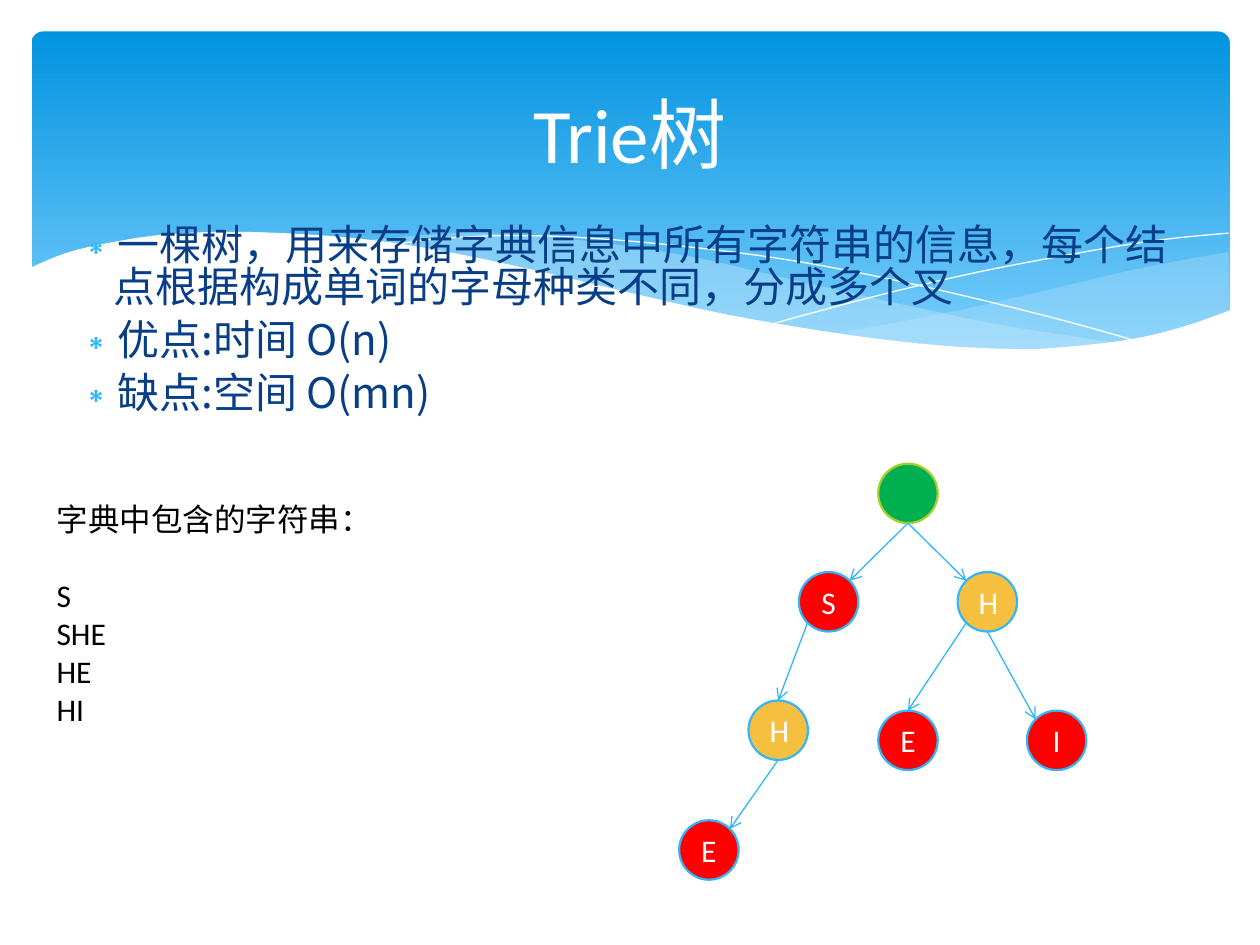
from math import cos, radians, sin

from lxml import etree
from pptx import Presentation
from pptx import util as u
from pptx.dml import color
from pptx.enum import shapes, text
from pptx.oxml import ns

HUES = {
    "white": "FFFFFF", "black": "000000", "navy": "073E87", "sky": "31B6FD",
    "top": "0293E0", "low": "83D3FE", "veil": "C6E7FC", "root": "00B050",
    "lime": "A5D028", "end": "FF0000", "mid": "F5C040",
}
COLS, ROWS = 100, 75
CJK = "Noto Sans CJK SC"

deck = Presentation()
deck.slide_width, deck.slide_height = u.Inches(10), u.Inches(7.5)
CELL_W, CELL_H = deck.slide_width / COLS, deck.slide_height / ROWS


def hue(name):
    return color.RGBColor.from_string(HUES[name])


def grid(x, y, wide, high):
    return [round(v) for v in (x * CELL_W, y * CELL_H, wide * CELL_W, high * CELL_H)]


def place(shape, box):
    shape.left, shape.top, shape.width, shape.height = grid(*box)


def node(parent, tag, **attrs):
    return etree.SubElement(parent, ns.qn(tag), attrs)


def write(frame, lines, size=18, ink="white", font="Calibri", align=None,
          anchor=text.MSO_ANCHOR.TOP, bullet=None, gaps=None, lead=None):
    frame.word_wrap = True
    frame.auto_size = text.MSO_AUTO_SIZE.NONE
    frame.vertical_anchor = anchor
    for i, line in enumerate(lines):
        para = frame.paragraphs[0] if i == 0 else frame.add_paragraph()
        para.alignment = align
        para.space_before = u.Pt((gaps or {}).get(i, 0))
        if lead:
            para.line_spacing = lead
        if bullet:
            props = para._p.get_or_add_pPr()
            props.set("marL", str(u.Inches(0.3)))
            props.set("indent", str(-u.Inches(0.3)))
            node(node(props, "a:buClr"), "a:srgbClr", val=HUES["sky"])
            node(props, "a:buChar", char=bullet)
        run = para.add_run()
        run.text = line
        run.font.size, run.font.name = u.Pt(size), font
        run.font.color.rgb = hue(ink)
        node(run.font._element, "a:ea", typeface=font)


def smooth(pts, steps=5):
    ends = [pts[0], *pts, pts[-1]]
    curve = []
    for a, b, c, d in zip(ends, ends[1:], ends[2:], ends[3:]):
        for t in (k / steps for k in range(steps)):
            curve.append(tuple(
                (2 * q + (r - p) * t + (2 * p - 5 * q + 4 * r - s) * t ** 2
                 + (3 * q - p - 3 * r + s) * t ** 3) / 2
                for p, q, r, s in zip(a, b, c, d)))
    return curve + [pts[-1]]


def wave(slide, box, pts, fill=None, alpha=None):
    spots = [((box[0] + x) * CELL_W, (box[1] + y) * CELL_H) for x, y in pts]
    pen = slide.shapes.build_freeform(*map(round, spots[0]))
    pen.add_line_segments([tuple(map(round, s)) for s in spots[1:]], close=bool(fill))
    shape = pen.convert_to_shape()
    shape.shadow.inherit = False
    if fill:
        shape.fill.solid()
        shape.fill.fore_color.rgb = hue(fill)
        shape.line.fill.background()
    else:
        shape.fill.background()
        shape.line.color.rgb = hue("white")
        shape.line.width = u.Pt(0)
    if alpha:
        tint = shape._element.spPr.find(".//" + ns.qn("a:srgbClr"))
        node(tint, "a:alpha", val=str(alpha * 1000))


def banner(slide, box):
    band = slide.shapes.add_shape(shapes.MSO_SHAPE.ROUNDED_RECTANGLE, *grid(*box))
    band.adjustments[0] = 0.034
    band.shadow.inherit = False
    band.line.fill.background()
    band.fill.gradient()
    band.fill.gradient_angle = 270
    for stop, name, pos in zip(band.fill.gradient_stops, ("top", "low"), (0, 1)):
        stop.color.rgb, stop.position = hue(name), pos

    right = smooth([(95, 17.5), (91, 18.2), (86.6, 19.1), (80.7, 20.5), (72.8, 22.3), (63.6, 24)])
    right += smooth([(63.6, 24), (68, 24.6), (73.2, 25.1), (77.8, 25.3), (82.9, 25.1),
                     (88, 24.4), (91.7, 23.4), (95.1, 22.2)])
    mid = smooth([(86.8, 24.8), (78.2, 23.5), (71.6, 22.2), (60.4, 19.7), (53, 18),
                  (46.4, 16.9), (39.5, 16.2), (33.6, 16), (26.1, 16.6)])
    mid += smooth([(26.1, 16.6), (31.7, 17.4), (37.9, 18.6), (42.4, 19.7), (50.5, 21.5),
                   (57.6, 23), (64, 24.1), (71.1, 25), (78.2, 25.4), (83.2, 25.2), (86.8, 24.8)])
    fall = smooth([(28.4, 17), (31.8, 16.5), (37.6, 16.2), (44.4, 16.4), (53.1, 17.2),
                   (61.1, 18.3), (70.2, 20.1), (80.6, 22.6), (88.2, 24.7)])
    rise = smooth([(58.8, 23.2), (67, 21), (75.1, 19.1), (84.1, 17.4), (89.9, 16.5), (95, 16)])
    base = smooth([(95.2, 22.1), (91.5, 23.4), (87.4, 24.4), (82.5, 25), (78.4, 25.2),
                   (71.9, 24.9), (64.3, 24), (55.4, 22.5), (47.8, 20.8), (39.3, 18.8),
                   (31.4, 17.2), (24.6, 16.3), (16.8, 15.9), (10.7, 16.1), (6, 16.8),
                   (2.7, 17.6), (-0.2, 18.8)])
    wave(slide, box, right, "veil", 29)
    wave(slide, box, mid, "veil", 40)
    wave(slide, box, fall)
    wave(slide, box, rise)
    wave(slide, box, base + [(-0.2, 30.4), (95.2, 30.4)], "white")


def title(slide, box):
    head = slide.shapes.title
    place(head, box)
    head.element.getparent().append(head.element)
    write(head.text_frame, ["Trie树"], size=44, align=text.PP_ALIGN.CENTER,
          anchor=text.MSO_ANCHOR.MIDDLE)


def points(slide, box):
    body = slide.placeholders[1]
    place(body, box)
    body.element.getparent().append(body.element)
    write(body.text_frame,
          ["一棵树，用来存储字典信息中所有字符串的信息，每个结点根据构成单词的字母种类不同，分成多个叉",
           "优点:时间 O(n)", "缺点:空间 O(mn)"],
          size=24, ink="navy", font=CJK, bullet="∗", gaps={1: 6, 2: 6}, lead=0.84)


def words(slide, box):
    note = slide.shapes.add_textbox(*grid(*box))
    write(note.text_frame, ["字典中包含的字符串：", "S", "SHE", "HE", "HI"],
          ink="black", gaps={1: 22})


def tree(slide, box):
    size = 4.72
    nodes = {
        "root": (15.8, 0, "", "root"), "s": (9.5, 8.6, "S", "end"),
        "he": (15.8, 19.6, "E", "end"), "h": (22.1, 8.6, "H", "mid"),
        "hi": (27.6, 19.6, "I", "end"), "she": (0, 28.3, "E", "end"),
        "sh": (5.5, 18.8, "H", "mid"),
    }
    for key, (x, y, label, fill) in nodes.items():
        disc = slide.shapes.add_shape(
            shapes.MSO_SHAPE.OVAL, *grid(box[0] + x, box[1] + y, size, size))
        disc.shadow.inherit = False
        disc.fill.solid()
        disc.fill.fore_color.rgb = hue(fill)
        disc.line.color.rgb = hue("lime" if key == "root" else "sky")
        disc.line.width = u.Pt(1.25)
        if label:
            write(disc.text_frame, [label], align=text.PP_ALIGN.CENTER,
                  anchor=text.MSO_ANCHOR.MIDDLE)

    def rim(key, angle):
        x, y = nodes[key][:2]
        turn = radians(angle)
        return grid(box[0] + x + size / 2 * (1 + cos(turn)),
                    box[1] + y + size / 2 * (1 + sin(turn)), 0, 0)[:2]

    links = [("root", 90, "s", 315), ("root", 90, "h", 225), ("s", 135, "sh", 270),
             ("h", 135, "he", 270), ("h", 90, "hi", 225), ("sh", 90, "she", 315)]
    for start, out, stop, into in links:
        link = slide.shapes.add_connector(
            shapes.MSO_CONNECTOR.STRAIGHT, *rim(start, out), *rim(stop, into))
        link.line.color.rgb = hue("sky")
        link.line.width = u.Pt(0.75)
        node(link.line._get_or_add_ln(), "a:tailEnd", type="arrow")
        node(link._element.spPr, "a:effectLst")


def main():
    slide = deck.slides.add_slide(deck.slide_layouts[1])
    banner(slide, (2.5, 2.5, 95.1, 27))
    points(slide, (5, 17.5, 90, 20))
    title(slide, (5, 3.7, 90, 13.7))
    tree(slide, (53.9, 36.8, 32.3, 33))
    words(slide, (3.5, 39.2, 47.2, 22))
    deck.save("out.pptx")


if __name__ == "__main__":
    main()
